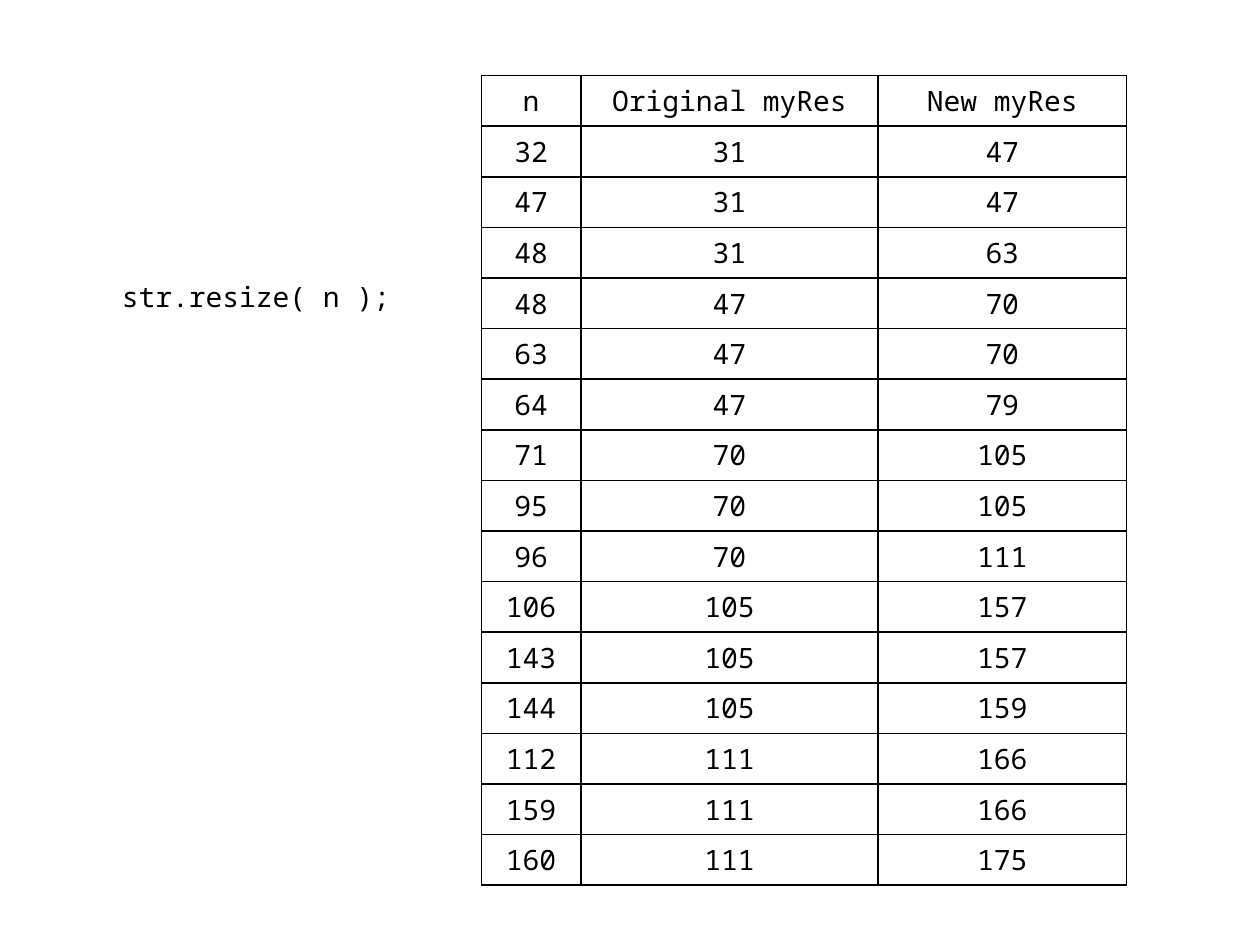
import pptx
import pptx.enum.text
import pptx.oxml
import pptx.oxml.ns
import pptx.util
from pptx.dml.color import RGBColor
from pptx.util import Inches

COLORS = {"ink": "000000", "paper": "FFFFFF"}
TEXT_FORMAT = {"name": "Noto Sans Mono", "size": pptx.util.Pt(16)}
BORDER_WIDTH = pptx.util.Pt(1)

COLUMN_WIDTHS = (0.79, 2.36, 1.97)
TABLE_HEIGHT = 6.43
HEADINGS = ("n", "Original myRes", "New myRes")
CAPACITIES = (
    (32, 31, 47),
    (47, 31, 47),
    (48, 31, 63),
    (48, 47, 70),
    (63, 47, 70),
    (64, 47, 79),
    (71, 70, 105),
    (95, 70, 105),
    (96, 70, 111),
    (106, 105, 157),
    (143, 105, 157),
    (144, 105, 159),
    (112, 111, 166),
    (159, 111, 166),
    (160, 111, 175),
)


def write_text(frame, text, alignment):
    para = frame.paragraphs[0]
    para.alignment = alignment
    span = para.add_run()
    span.text = text
    for attribute, value in TEXT_FORMAT.items():
        setattr(span.font, attribute, value)
    span.font.color.rgb = RGBColor.from_string(COLORS["ink"])


def add_code(page, text, left, top, width, height):
    box = page.shapes.add_textbox(
        Inches(left), Inches(top), Inches(width), Inches(height))
    box.text_frame.word_wrap = True
    write_text(box.text_frame, text, pptx.enum.text.PP_ALIGN.LEFT)


def add_borders(cell):
    # Border elements come before the fill in the cell properties
    properties = cell._tc.get_or_add_tcPr()
    for index, side in enumerate("LRTB"):
        properties.insert(index, pptx.oxml.parse_xml(
            f'<a:ln{side} {pptx.oxml.ns.nsdecls("a")} w="{BORDER_WIDTH}">'
            f'<a:solidFill><a:srgbClr val="{COLORS["ink"]}"/></a:solidFill>'
            f'</a:ln{side}>'))


def fill_cell(cell, text, anchor):
    cell.fill.solid()
    cell.fill.fore_color.rgb = RGBColor.from_string(COLORS["paper"])
    cell.vertical_anchor = anchor
    add_borders(cell)
    write_text(cell.text_frame, text, pptx.enum.text.PP_ALIGN.CENTER)


def add_capacity_table(page, left, top):
    rows = (HEADINGS,) + CAPACITIES
    table = page.shapes.add_table(
        len(rows), len(COLUMN_WIDTHS), Inches(left), Inches(top),
        Inches(sum(COLUMN_WIDTHS)), Inches(TABLE_HEIGHT)).table
    table.horz_banding = False
    for column, width in zip(table.columns, COLUMN_WIDTHS):
        column.width = Inches(width)
    anchors = pptx.enum.text.MSO_ANCHOR
    for row_index, values in enumerate(rows):
        table.rows[row_index].height = Inches(TABLE_HEIGHT / len(rows))
        anchor = anchors.BOTTOM if row_index else anchors.MIDDLE
        for column_index, value in enumerate(values):
            fill_cell(table.cell(row_index, column_index), str(value), anchor)


def main():
    deck = pptx.Presentation()
    deck.slide_width, deck.slide_height = Inches(10), Inches(7.5)
    page = deck.slides.add_slide(deck.slide_layouts[6])

    # Call being measured
    add_code(page, "str.resize( n );", 0.87, 2.17, 2.36, 0.39)

    # Capacity before and after the call
    add_capacity_table(page, 3.82, 0.6)

    deck.save("out.pptx")


if __name__ == "__main__":
    main()
